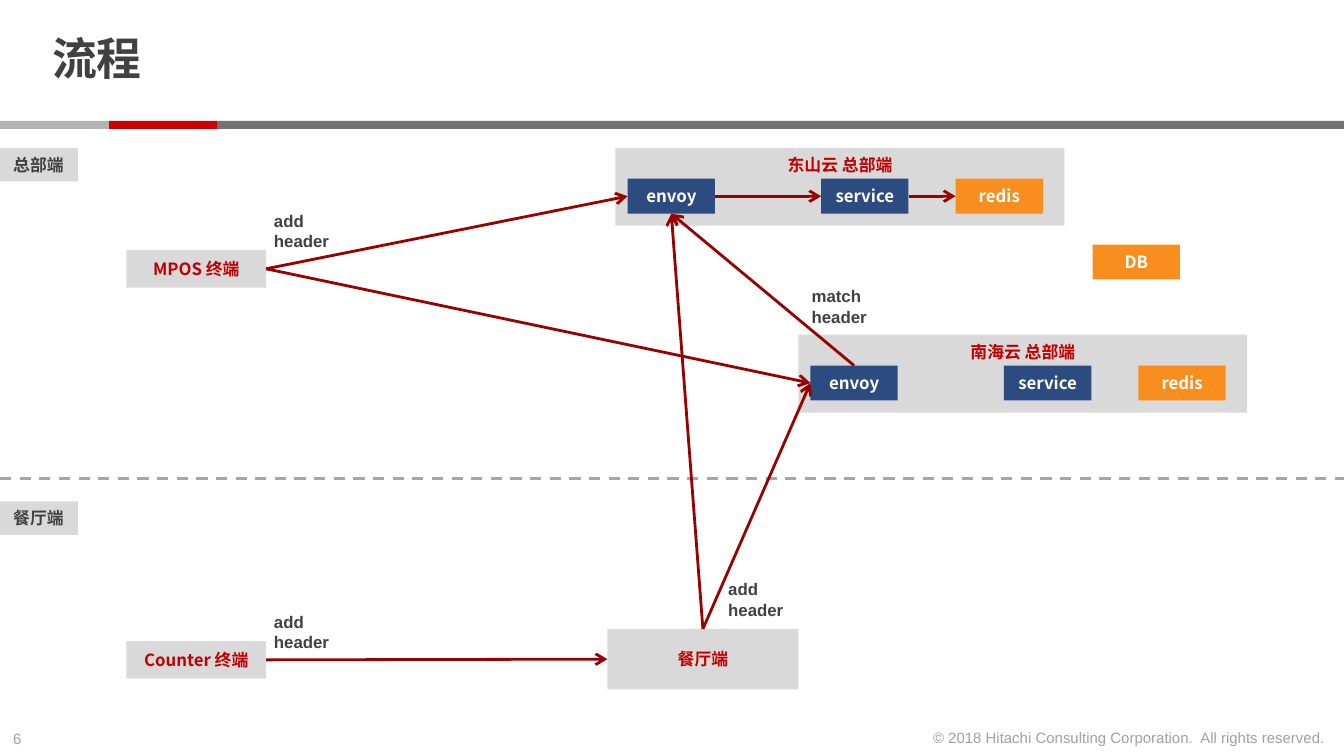
from lxml.etree import SubElement
from pptx import Presentation
from pptx.dml.color import RGBColor
from pptx.enum.dml import MSO_LINE
from pptx.enum.shapes import MSO_CONNECTOR, MSO_SHAPE
from pptx.enum.text import MSO_ANCHOR, PP_ALIGN
from pptx.oxml.ns import qn
from pptx.util import Inches, Pt

NOTO = "Noto Sans CJK SC"
GREY, BLUE, GOLD, RED, DARK = "D9D9D9", "2C4B80", "F78E1E", "C00000", "414141"
TOP, MID, LEFT, RIGHT = MSO_ANCHOR.TOP, MSO_ANCHOR.MIDDLE, PP_ALIGN.LEFT, PP_ALIGN.RIGHT

BARS = [(1.62, 8.38, "737373"), (0.81, 0.81, "CC0000"), (0, 0.81, "B3B3B3")]
CLOUDS = [("hq", "东山云 总部端", 4.58, 1.1), ("net", "南海云 总部端", 5.94, 2.49)]
PARTS = [("envoy", BLUE, 0.09), ("service", BLUE, 1.53), ("redis", GOLD, 2.53)]
ENDS = [
    ("mpos", "MPOS 终端", (0.94, 1.86, 1.04, 0.28)),
    ("counter", "Counter 终端", (0.94, 4.77, 1.04, 0.28)),
    ("store", "餐厅端", (4.52, 4.68, 1.42, 0.45)),
]
ZONES = [("总部端", 1.1), ("餐厅端", 3.73)]
NOTES = [
    ("add header", 1.94, 1.52, 0.76),
    ("add header", 1.94, 4.5, 0.76),
    ("add header", 5.32, 4.26, 0.76),
    ("match header", 5.94, 2.08, 0.65),
]
FLOWS = [
    ("hq envoy", 3, "hq service", 1),
    ("hq service", 3, "hq redis", 1),
    ("net envoy", 0, "hq envoy", 2),
    ("mpos", 3, "hq envoy", 1),
    ("mpos", 3, "net envoy", 1),
    ("counter", 3, "store", 1),
    ("store", 0, "hq envoy", 2),
    ("store", 0, "net envoy", 1),
]
FOOT = {"size": 8, "bold": False, "ink": "A0A0A0", "wrap": False}

deck = Presentation()
deck.slide_width, deck.slide_height = Inches(10), Inches(10 * 9 / 16)
slide = deck.slides.add_slide(deck.slide_layouts[6])


def color(code):
    """Turn a hex string into a colour."""
    return RGBColor.from_string(code)


def write(shape, text, ink=DARK, face="Arial", size=9, bold=True,
          align=LEFT, anchor=TOP, wrap=True):
    """Put one formatted line of text in a shape."""
    frame = shape.text_frame
    frame.word_wrap, frame.vertical_anchor = wrap, anchor
    para = frame.paragraphs[0]
    para.alignment = align
    run = para.add_run()
    run.text = text
    for name, value in {"name": face, "size": Pt(size), "bold": bold}.items():
        setattr(run.font, name, value)
    run.font.color.rgb = color(ink)
    SubElement(run.font._element, qn("a:ea"), typeface=NOTO)
    return para


def label(area, text, **style):
    """Add a text box."""
    box = slide.shapes.add_textbox(*map(Inches, area))
    return box, write(box, text, **style)


def block(area, fill, text="", **style):
    """Add a flat rectangle with optional text."""
    box = slide.shapes.add_shape(MSO_SHAPE.RECTANGLE, *map(Inches, area))
    box.shadow.inherit = False
    box.fill.solid()
    box.fill.fore_color.rgb = color(fill)
    box.line.fill.background()
    if text:
        base = {"face": NOTO, "align": PP_ALIGN.CENTER, "anchor": MID}
        write(box, text, **{**base, **style})
    return box


def link(start, end, ink):
    """Add a straight line without a shadow."""
    line = slide.shapes.add_connector(
        MSO_CONNECTOR.STRAIGHT, *map(Inches, start + end))
    line.line.color.rgb = color(ink)
    line.line.width = Pt(1.5)
    SubElement(line._element.spPr, qn("a:effectLst"))
    return line


def main():
    """Build the slide and save it."""
    for left, width, fill in BARS:
        block((left, 0.9, width, 0.06), fill)
    label((0, 5.38, 0.34, 0.24), "6", **FOOT)
    label((6.8, 5.37, 3.16, 0.24),
          "© 2018 Hitachi Consulting Corporation.  All rights reserved.",
          align=RIGHT, **FOOT)
    title, para = label((0.29, 0.06, 7.71, 0.8), "流程", size=24, anchor=MID)
    title.text_frame.margin_top = title.text_frame.margin_bottom = 0
    para.line_spacing = 0.85

    nodes = {}
    for key, text, left, top in CLOUDS:
        block((left, top, 3.34, 0.58), GREY, text, ink=RED, anchor=TOP)
        for part, fill, shift in PARTS:
            nodes[f"{key} {part}"] = block(
                (left + shift, top + 0.23, 0.65, 0.26), fill, part, ink="FFFFFF")
    block((8.13, 1.82, 0.65, 0.26), GOLD, "DB", ink="FFFFFF")
    for key, text, area in ENDS:
        nodes[key] = block(area, GREY, text, ink=RED)
    for text, top in ZONES:
        block((0, top, 0.58, 0.25), GREY, text, align=LEFT, anchor=TOP, wrap=False)

    link((0, 3.56), (10, 3.56), "A6A6A6").line.dash_style = MSO_LINE.DASH
    for start, out, end, side in FLOWS:
        line = link((0, 0), (1, 1), "990000")
        line.begin_connect(nodes[start], out)
        line.end_connect(nodes[end], side)
        SubElement(line._element.spPr.find(qn("a:ln")), qn("a:tailEnd"), type="arrow")
    for text, left, top, width in NOTES:
        label((left, top, width, 0.4), text)
    deck.save("out.pptx")


if __name__ == "__main__":
    main()
